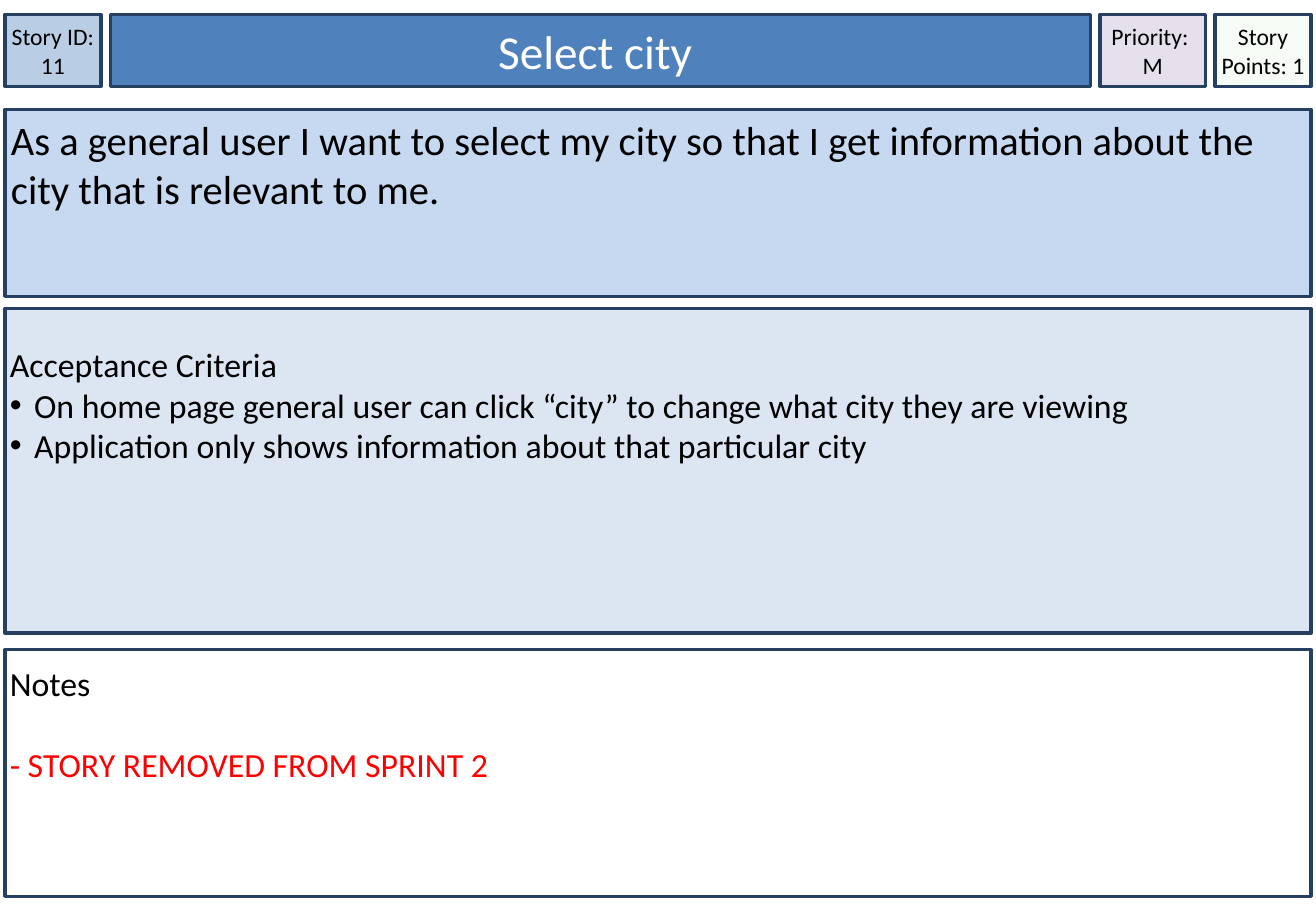
"""Builds a user story card with a header row and three stacked panels."""
from lxml import etree
from pptx import Presentation
from pptx.dml.color import RGBColor
from pptx.enum.shapes import MSO_SHAPE
from pptx.enum.text import MSO_ANCHOR, MSO_AUTO_SIZE, PP_ALIGN
from pptx.oxml.ns import qn
from pptx.util import Inches, Pt

RECT = MSO_SHAPE.RECTANGLE
TOP, MIDDLE = MSO_ANCHOR.TOP, MSO_ANCHOR.MIDDLE
LEFT, CENTER = PP_ALIGN.LEFT, PP_ALIGN.CENTER
FIXED = MSO_AUTO_SIZE.NONE

WIDE, HIGH = 10.83, 7.5
EDGE, GAP = 0.37, 0.74

THEME = {
    "font": "Calibri", "line": "254061", "weight": 2, "indent": 0.2,
    "ink": "000000", "light": "FFFFFF", "alert": "FF0000",
    "tag": 14, "title": 28, "story": 24, "body": 20,
    "id": "B9CDE5", "head": "4F81BD", "level": "E6E0EC", "points": "CCF0CD",
    "panel": "C6D9F1", "list": "DCE6F2", "notes": "FFFFFF",
}

# Each text line: words, ink, bulleted, space before in points
HEADER = [
    {"share": 7.3, "fill": "id", "size": "tag",
     "lines": [("Story ID: 11", "ink", False, 0)]},
    {"share": None, "fill": "head", "size": "title", "holder": 0, "pad": (0.05, 0.05),
     "lines": [("Select city ", "light", False, 0)]},
    {"share": 8, "fill": "level", "size": "tag",
     "lines": [("Priority: ", "ink", False, 0), ("M", "ink", False, 0)]},
    {"share": 7.3, "fill": "points", "size": "tag", "alpha": 20,
     "lines": [("Story Points: 1", "ink", False, 0)]},
]
PANELS = [
    {"rows": (12, 20.53), "fill": "panel", "size": "story", "pad": (0.05, 0.05),
     "lines": [("As a general user I want to select my city so that I get "
                "information about the city that is relevant to me.", "ink", False, 0)]},
    {"rows": (33.87, 35.6), "fill": "list", "size": "body", "holder": 1, "pad": (0.04, 0.29),
     "lines": [("Acceptance Criteria", "ink", False, 0),
               ("On home page general user can click “city” to change what city "
                "they are viewing", "ink", True, 0),
               ("Application only shows information about that particular city",
                "ink", True, 0)]},
    {"rows": (71.33, 27.07), "fill": "notes", "size": "body", "pad": (0.04, 0.11),
     "lines": [("Notes", "ink", False, 0),
               ("- STORY REMOVED FROM SPRINT 2", "alert", False, 24)]},
]
HEAD_ROWS = (1.6, 7.87)


def tint(name):
    """Return a theme colour."""
    return RGBColor.from_string(THEME[name])


def write(frame, lines, size, align):
    """Write the lines into a text frame."""
    for i, (words, ink, dot, before) in enumerate(lines):
        para = frame.paragraphs[0] if i == 0 else frame.add_paragraph()
        para.alignment = align
        para.space_before = Pt(before)
        props = para._p.get_or_add_pPr()
        depth = Inches(THEME["indent"]) if dot else 0
        props.set("marL", str(depth))
        props.set("indent", str(-depth))
        if dot:
            etree.SubElement(props, qn("a:buChar")).set("char", "•")
        else:
            etree.SubElement(props, qn("a:buNone"))
        run = para.add_run()
        run.text = words
        run.font.name = THEME["font"]
        run.font.size = Pt(THEME[size])
        run.font.color.rgb = tint(ink)


def draw(slide, part, x, y, w, h, anchor, align):
    """Draw one card part, placed by shares of the slide."""
    place = [Inches(v * full / 100)
             for v, full in ((x, WIDE), (y, HIGH), (w, WIDE), (h, HIGH))]
    if "holder" in part:
        box = slide.placeholders[part["holder"]]
        box.left, box.top, box.width, box.height = place
    else:
        box = slide.shapes.add_shape(RECT, *place)
        box.shadow.inherit = False
    box.fill.solid()
    box.fill.fore_color.rgb = tint(part["fill"])
    if "alpha" in part:
        shade = box._element.spPr.find(".//" + qn("a:srgbClr"))
        etree.SubElement(shade, qn("a:alpha")).set("val", str(part["alpha"] * 1000))
    box.line.color.rgb = tint("line")
    box.line.width = Pt(THEME["weight"])
    frame = box.text_frame
    frame.word_wrap = True
    frame.auto_size = FIXED
    frame.vertical_anchor = anchor
    side, top = part.get("pad", (0, 0))
    frame.margin_left = frame.margin_right = Inches(side)
    frame.margin_top = Inches(top)
    frame.margin_bottom = Inches(side)
    write(frame, part["lines"], part["size"], align)


deck = Presentation()
deck.slide_width, deck.slide_height = Inches(WIDE), Inches(HIGH)
slide = deck.slides.add_slide(deck.slide_layouts[1])

span = 100 - 2 * EDGE
rest = span - GAP * (len(HEADER) - 1) - sum(c["share"] or 0 for c in HEADER)
x = EDGE
for cell in HEADER:
    w = cell["share"] or rest
    draw(slide, cell, x, HEAD_ROWS[0], w, HEAD_ROWS[1], MIDDLE, CENTER)
    x += w + GAP
for panel in PANELS:
    y, h = panel["rows"]
    draw(slide, panel, EDGE, y, span, h, TOP, LEFT)

deck.save("out.pptx")
